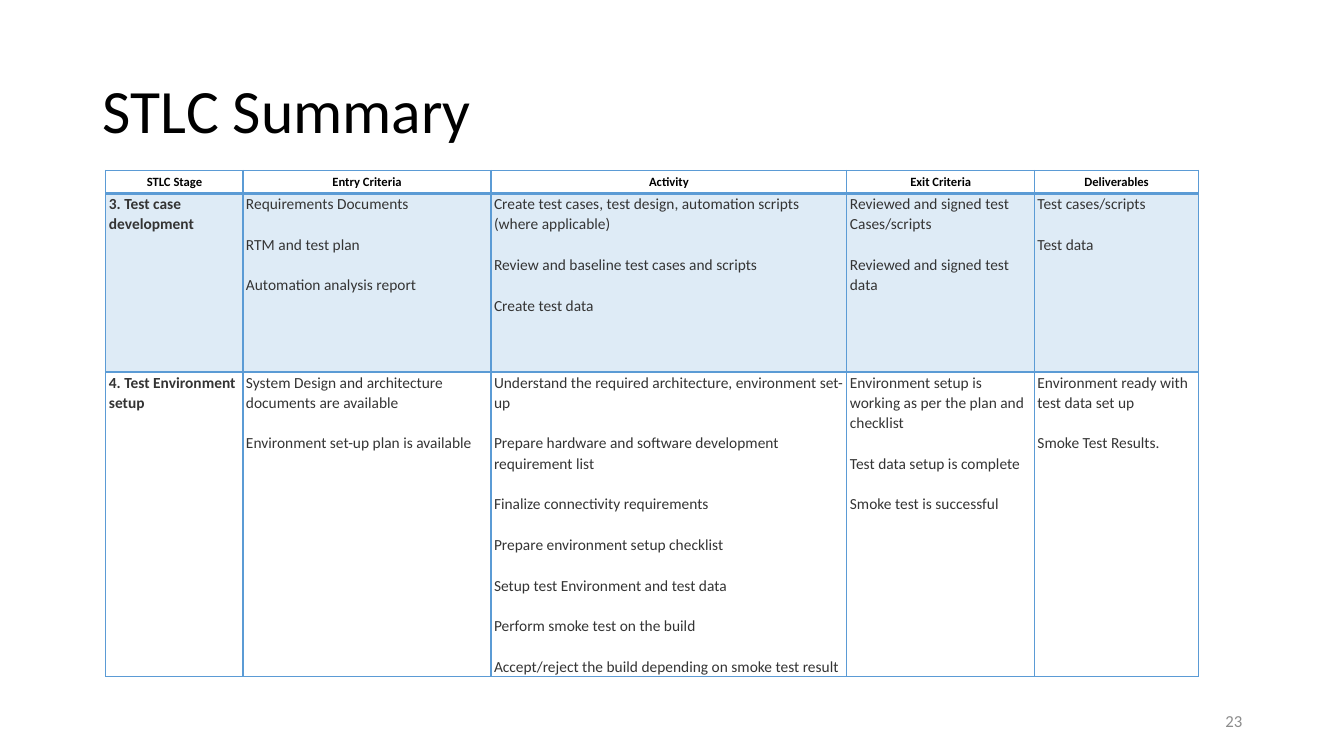
from lxml import etree
from pptx import Presentation
from pptx.dml.color import RGBColor
from pptx.enum.text import MSO_ANCHOR, MSO_AUTO_SIZE, PP_ALIGN
from pptx.oxml.ns import qn
from pptx.util import Inches, Pt

TOP, MIDDLE = MSO_ANCHOR.TOP, MSO_ANCHOR.MIDDLE
LEFT, CENTER, RIGHT = PP_ALIGN.LEFT, PP_ALIGN.CENTER, PP_ALIGN.RIGHT
NO_AUTOFIT = MSO_AUTO_SIZE.NONE
TITLE_ONLY = 5

COLORS = {"black": "000000", "gray": "8C8C8C", "body": "343434", "blue": "5B9BD5"}
BAND_OPACITY = 20
COLUMN_WIDTHS = [1.36, 2.46, 3.53, 1.86, 1.63]
ROW_HEIGHTS = [0.23, 1.77, 3.02]
PARAGRAPH_GAP = 14.5

HEADINGS = ["STLC Stage", "Entry Criteria", "Activity", "Exit Criteria", "Deliverables"]
STAGES = [
    [
        ["3. Test case development"],
        ["Requirements Documents", "RTM and test plan", "Automation analysis report"],
        [
            "Create test cases, test design, automation scripts (where applicable)",
            "Review and baseline test cases and scripts",
            "Create test data",
        ],
        ["Reviewed and signed test Cases/scripts", "Reviewed and signed test data"],
        ["Test cases/scripts", "Test data"],
    ],
    [
        ["4. Test Environment setup"],
        [
            "System Design and architecture documents are available",
            "Environment set-up plan is available",
        ],
        [
            "Understand the required architecture, environment set-up",
            "Prepare hardware and software development requirement list",
            "Finalize connectivity requirements",
            "Prepare environment setup checklist",
            "Setup test Environment and test data",
            "Perform smoke test on the build",
            "Accept/reject the build depending on smoke test result",
        ],
        [
            "Environment setup is working as per the plan and checklist",
            "Test data setup is complete",
            "Smoke test is successful",
        ],
        ["Environment ready with test data set up", "Smoke Test Results."],
    ],
]


def apply(target, values):
    for name, value in values.items():
        setattr(target, name, value)


def write(frame, lines, size, color, align=LEFT, spacing=1.0, bold=False):
    for index, line in enumerate(lines):
        para = frame.add_paragraph() if index else frame.paragraphs[0]
        gap = Pt(PARAGRAPH_GAP if index else 0)
        apply(para, {"alignment": align, "line_spacing": spacing, "space_before": gap})
        span = para.add_run()
        span.text = line
        apply(span.font, {"name": "Calibri", "size": Pt(size), "bold": bold})
        span.font.color.rgb = RGBColor.from_string(COLORS[color])


def add_title(page, left, top, width, height):
    title = page.shapes.title
    bounds = {"left": left, "top": top, "width": width, "height": height}
    apply(title, {name: Inches(value) for name, value in bounds.items()})
    apply(title.text_frame, {"vertical_anchor": MIDDLE, "auto_size": NO_AUTOFIT})
    write(title.text_frame, ["STLC Summary"], 44, "black", spacing=0.9)


def add_page_number(page, left, top, width, height):
    box = page.shapes.add_textbox(*map(Inches, (left, top, width, height)))
    apply(box.text_frame, {"word_wrap": True, "vertical_anchor": MIDDLE})
    write(box.text_frame, ["23"], 12, "gray", align=RIGHT)


def set_borders(cell, widths):
    properties = cell._tc.get_or_add_tcPr()
    for side in ("L", "R", "T", "B"):
        line = etree.SubElement(properties, qn(f"a:ln{side}"), w=str(Pt(widths.get(side, 1))))
        fill = etree.SubElement(line, qn("a:solidFill"))
        etree.SubElement(fill, qn("a:srgbClr"), val=COLORS["blue"])


def fill_band(cell):
    cell.fill.solid()
    cell.fill.fore_color.rgb = RGBColor.from_string(COLORS["blue"])
    color = cell._tc.tcPr.find(f".//{qn('a:solidFill')}[last()]")
    color = cell._tc.tcPr.findall(qn("a:solidFill"))[0].find(qn("a:srgbClr"))
    etree.SubElement(color, qn("a:alpha"), val=str(BAND_OPACITY * 1000))


def format_cell(cell, borders, anchor, side_margin, banded):
    margins = {"margin_left": side_margin, "margin_right": side_margin,
               "margin_top": 0, "margin_bottom": 0}
    apply(cell, {name: Inches(value) for name, value in margins.items()})
    cell.vertical_anchor = anchor
    set_borders(cell, borders)
    if banded:
        fill_band(cell)
    else:
        cell.fill.background()


def add_stage_table(page, left, top):
    size = (sum(COLUMN_WIDTHS), sum(ROW_HEIGHTS))
    table = page.shapes.add_table(
        len(ROW_HEIGHTS), len(COLUMN_WIDTHS), *map(Inches, (left, top, *size))
    ).table
    apply(table, {"first_row": False, "horz_banding": False})
    for column, width in zip(table.columns, COLUMN_WIDTHS):
        column.width = Inches(width)
    for row, height in zip(table.rows, ROW_HEIGHTS):
        row.height = Inches(height)
    for column, heading in enumerate(HEADINGS):
        cell = table.cell(0, column)
        format_cell(cell, {"B": 2}, MIDDLE, 0.02, False)
        write(cell.text_frame, [heading], 9, "black", CENTER, 1.07, True)
    for row, stage in enumerate(STAGES, start=1):
        for column, lines in enumerate(stage):
            cell = table.cell(row, column)
            format_cell(cell, {"T": 2} if row == 1 else {}, TOP, 0.03, row % 2 == 1)
            write(cell.text_frame, lines, 11, "body", LEFT, 1.07, column == 0)


def main():
    deck = Presentation()
    apply(deck, {"slide_width": Inches(13.33), "slide_height": Inches(7.5)})
    page = deck.slides.add_slide(deck.slide_layouts[TITLE_ONLY])
    add_title(page, 0.92, 0.4, 11.5, 1.45)
    add_page_number(page, 9.42, 6.95, 3, 0.4)
    add_stage_table(page, 1.05, 1.69)
    deck.save("out.pptx")


if __name__ == "__main__":
    main()
